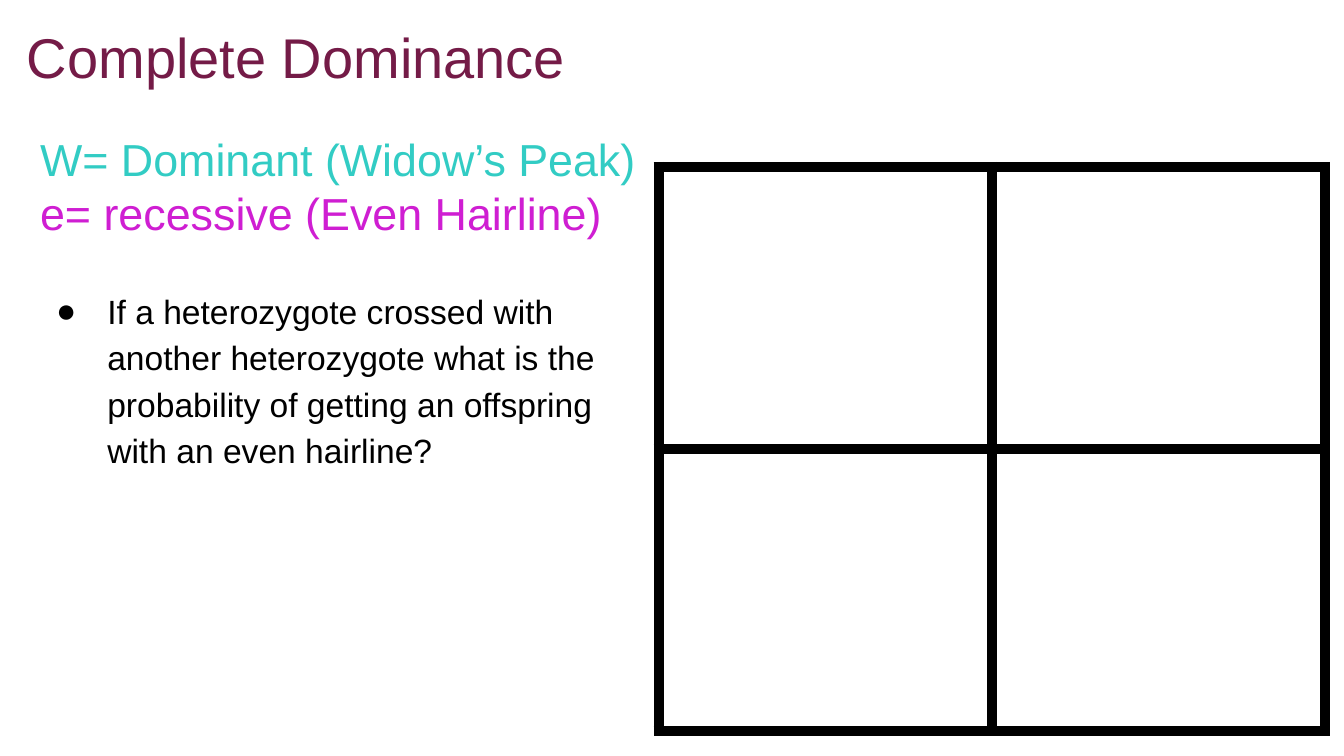
import pptx
import pptx.dml.color
import pptx.enum.text
import pptx.oxml
import pptx.oxml.ns
import pptx.util
from pptx.dml.color import RGBColor
from pptx.util import Inches

BLACK = RGBColor(0x00, 0x00, 0x00)
PLUM = RGBColor(0x74, 0x1B, 0x47)
TEAL = RGBColor(0x32, 0xCC, 0xC4)
MAGENTA = RGBColor(0xCF, 0x1E, 0xD2)


class SlideBuilder:
    """Holds the text style and the slide being filled."""

    font_name = "Arial"
    border_width = pptx.util.Pt(6)

    def __init__(self, slide):
        self.slide = slide

    def style(self, paragraph, size, color):
        paragraph.font.name = self.font_name
        paragraph.font.size = pptx.util.Pt(size)
        paragraph.font.color.rgb = color
        paragraph.alignment = pptx.enum.text.PP_ALIGN.LEFT

    def frame(self, shape):
        """Give the shape's text even margins and return its frame."""
        text = shape.text_frame
        text.word_wrap = True
        text.auto_size = pptx.enum.text.MSO_AUTO_SIZE.NONE
        text.vertical_anchor = pptx.enum.text.MSO_ANCHOR.TOP
        text.margin_left = text.margin_right = Inches(0.1)
        text.margin_top = text.margin_bottom = Inches(0.1)
        return text

    def title(self, wording, left, top, width, height):
        heading = self.slide.shapes.title
        heading.left, heading.top = Inches(left), Inches(top)
        heading.width, heading.height = Inches(width), Inches(height)
        text = self.frame(heading)
        text.text = wording
        self.style(text.paragraphs[0], 30, PLUM)

    def alleles_and_question(self, alleles, question, left, top, width, height):
        box = self.slide.shapes.add_textbox(
            Inches(left), Inches(top), Inches(width), Inches(height))
        text = self.frame(box)
        text.text = "\n".join([wording for wording, _ in alleles] + [question])
        for paragraph, (_, color) in zip(text.paragraphs, alleles):
            self.style(paragraph, 24, color)
        self.bullet(text.paragraphs[-1])

    def bullet(self, paragraph):
        self.style(paragraph, 18, BLACK)
        paragraph.line_spacing = 1.15
        paragraph.space_before = pptx.util.Pt(24.5)
        properties = paragraph._p.get_or_add_pPr()
        properties.set("marL", str(Inches(0.5)))
        properties.set("indent", str(Inches(-0.38)))
        namespace = pptx.oxml.ns.nsdecls("a")
        for mark in (
                f'<a:buClr {namespace}><a:srgbClr val="{BLACK}"/></a:buClr>',
                f'<a:buSzPts {namespace} val="1800"/>',
                f'<a:buFont {namespace} typeface="{self.font_name}"/>',
                f'<a:buChar {namespace} char="●"/>'):
            properties.append(pptx.oxml.parse_xml(mark))

    def border(self, cell, side, visible):
        paint = (f'<a:solidFill><a:srgbClr val="{BLACK}"/></a:solidFill>'
                 if visible else "<a:noFill/>")
        cell._tc.get_or_add_tcPr().append(pptx.oxml.parse_xml(
            f'<a:ln{side} {pptx.oxml.ns.nsdecls("a")} '
            f'w="{self.border_width}">{paint}</a:ln{side}>'))

    def punnett_square(self, left, top, column_width, row_height):
        """Add a 3 by 3 table whose first row and column are open headers."""
        size = 3
        square = self.slide.shapes.add_table(
            size, size, Inches(left), Inches(top),
            Inches(size * column_width), Inches(size * row_height)).table
        square.first_row = square.horz_banding = False
        for row in range(size):
            for column in range(size):
                cell = square.cell(row, column)
                inner = row > 0 and column > 0
                visible = {"L": inner, "R": row > 0,
                           "T": inner, "B": column > 0}
                for side, shown in visible.items():
                    self.border(cell, side, shown)
                cell.fill.background()


def main():
    deck = pptx.Presentation()
    deck.slide_width = Inches(10)
    deck.slide_height = deck.slide_width * 9 // 16
    title_only = deck.slide_layouts[5]
    builder = SlideBuilder(deck.slides.add_slide(title_only))

    builder.punnett_square(2.42, -0.86, 2.48, 2.1)
    builder.alleles_and_question(
        [("W= Dominant (Widow’s Peak)", TEAL),
         ("e= recessive (Even Hairline)", MAGENTA)],
        "If a heterozygote crossed with another heterozygote what is the "
        "probability of getting an offspring with an even hairline?",
        0.2, 0.88, 4.72, 4.75)
    builder.title("Complete Dominance", 0.1, 0.07, 6.65, 0.81)
    deck.save("out.pptx")


if __name__ == "__main__":
    main()
